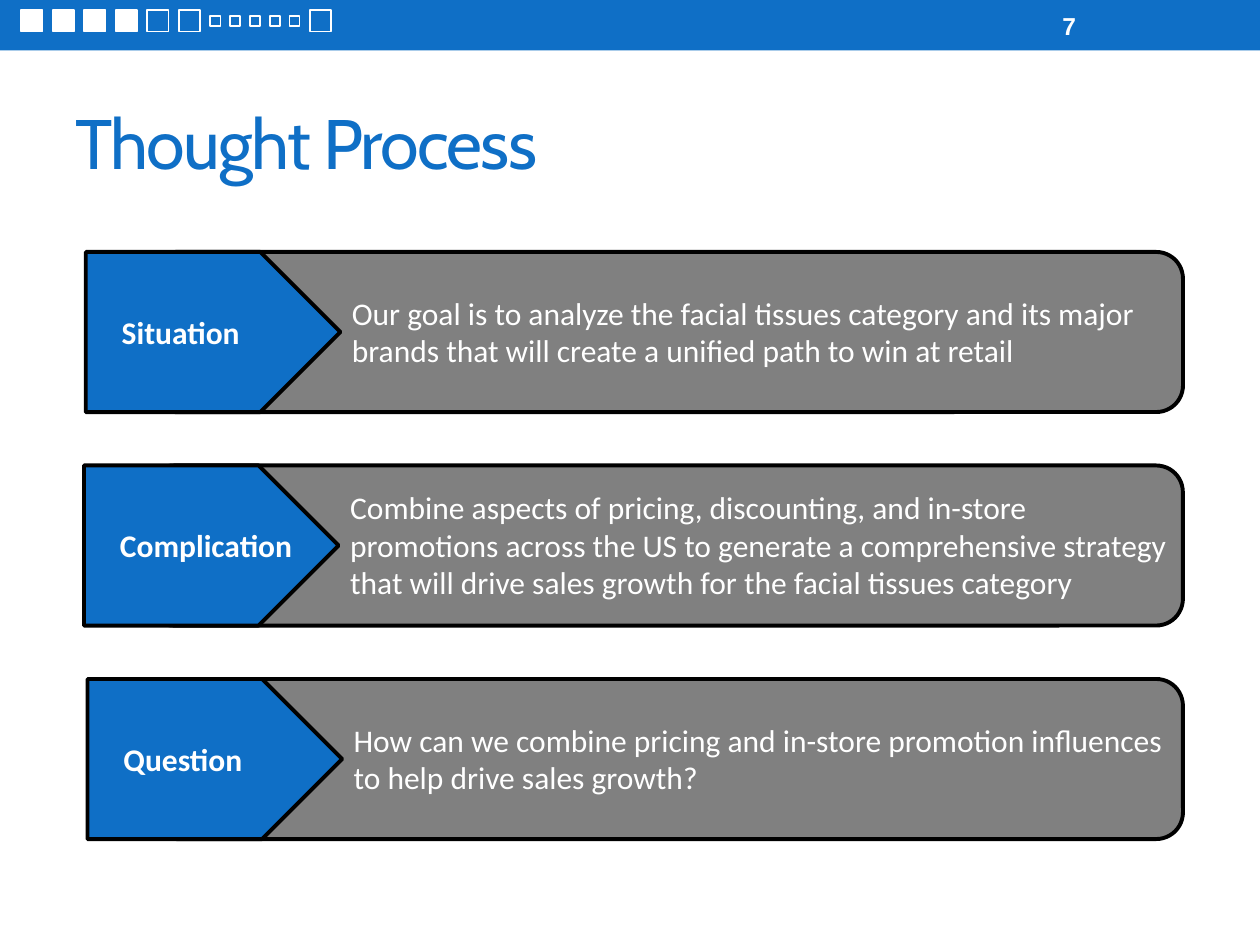
from pptx import Presentation
from pptx.dml.color import RGBColor
from pptx.enum import shapes as s, text as t
from pptx.util import Pt

BLUE, GRAY, WHITE, BLACK = "0F6FC6", "808080", "FFFFFF", "000000"


def color(value):
    return RGBColor.from_string(value)


def add_block(parent, kind, box, fill, line=None, weight=1):
    block = parent.shapes.add_shape(kind, *map(Pt, box))
    block.shadow.inherit = False
    block.fill.solid()
    block.fill.fore_color.rgb = color(fill)
    if line:
        block.line.color.rgb = color(line)
        block.line.width = Pt(weight)
    else:
        block.line.fill.background()
    return block


def format_text(frame, words, font_name, size, fill, bold=False):
    frame.text = words
    frame.word_wrap = True
    paragraph = frame.paragraphs[0]
    paragraph.alignment = t.PP_ALIGN.LEFT
    font = paragraph.font
    font.name, font.size, font.bold = font_name, Pt(size), bold
    font.color.rgb = color(fill)


def add_text(parent, box, words, font_name, size, bold=False):
    frame = parent.shapes.add_textbox(*map(Pt, box)).text_frame
    format_text(frame, words, font_name, size, WHITE, bold)
    return frame


def add_progress(slide, left, top):
    progress = slide.shapes.add_group_shape()
    large, small = 12.2, 5.8
    markers = [(18 * i, large, WHITE if i < 4 else BLUE) for i in range(6)]
    markers += [(108 + 11.3 * i, small, BLUE) for i in range(5)]
    markers.append((165, large, BLUE))
    for offset, size, fill in markers:
        box = (left + offset, top + (large - size) / 2, size, size)
        add_block(progress, s.MSO_SHAPE.RECTANGLE, box, fill, WHITE)


def add_header(slide, left, top, width, height):
    add_block(slide, s.MSO_SHAPE.RECTANGLE, (left, top, width, height), BLUE)
    number = add_text(slide, (left + 600, top + 1.5, 84, 26), "7", "Arial", 14, True)
    number.vertical_anchor = t.MSO_ANCHOR.MIDDLE
    add_progress(slide, left + 12.2, top + 5.8)


def add_title(slide, left, top, width, height):
    title = slide.shapes.title
    title.left, title.top, title.width, title.height = map(Pt, (left, top, width, height))
    frame = title.text_frame
    format_text(frame, "Thought Process", "Cabin", 40, BLUE)
    frame.vertical_anchor = t.MSO_ANCHOR.MIDDLE
    frame.paragraphs[0].runs[0]._r.get_or_add_rPr().set("spc", "-100")


def add_step(slide, left, top, width, height, label, detail, detail_height):
    step = slide.shapes.add_group_shape()
    add_block(step, s.MSO_SHAPE.ROUNDED_RECTANGLE,
              (left + 36, top, width - 36, height), GRAY, BLACK, 2.25)
    add_block(step, s.MSO_SHAPE.PENTAGON,
              (left, top, 145.5, height), BLUE, BLACK, 2.25)
    add_text(step, (left + 13.5, top + (height - 29) / 2, 130, 29),
             label, "Calibri", 18, True)
    add_text(step, (left + 145, top + (height - detail_height) / 2, width - 145, detail_height),
             detail, "Calibri", 18)


def main():
    deck = Presentation()
    deck.slide_width, deck.slide_height = Pt(720), Pt(540)
    slide = deck.slides.add_slide(deck.slide_layouts[5])
    add_header(slide, 0, 0, 720, 28.8)
    add_title(slide, 36, 42, 648, 78)
    steps = [
        (49, "Situation", "Our goal is to analyze the facial tissues category and its major "
         "brands that will create a unified path to win at retail", 51),
        (48, "Complication", "Combine aspects of pricing, discounting, and in-store "
         "promotions across the US to generate a comprehensive strategy "
         "that will drive sales growth for the facial tissues category", 73),
        (50, "Question", "How can we combine pricing and in-store promotion influences "
         "to help drive sales growth?", 51),
    ]
    for row, (left, label, detail, detail_height) in enumerate(steps):
        add_step(slide, left, 144 + 122 * row, 676 - left, 91.5,
                 label, detail, detail_height)
    deck.save("out.pptx")


if __name__ == "__main__":
    main()
